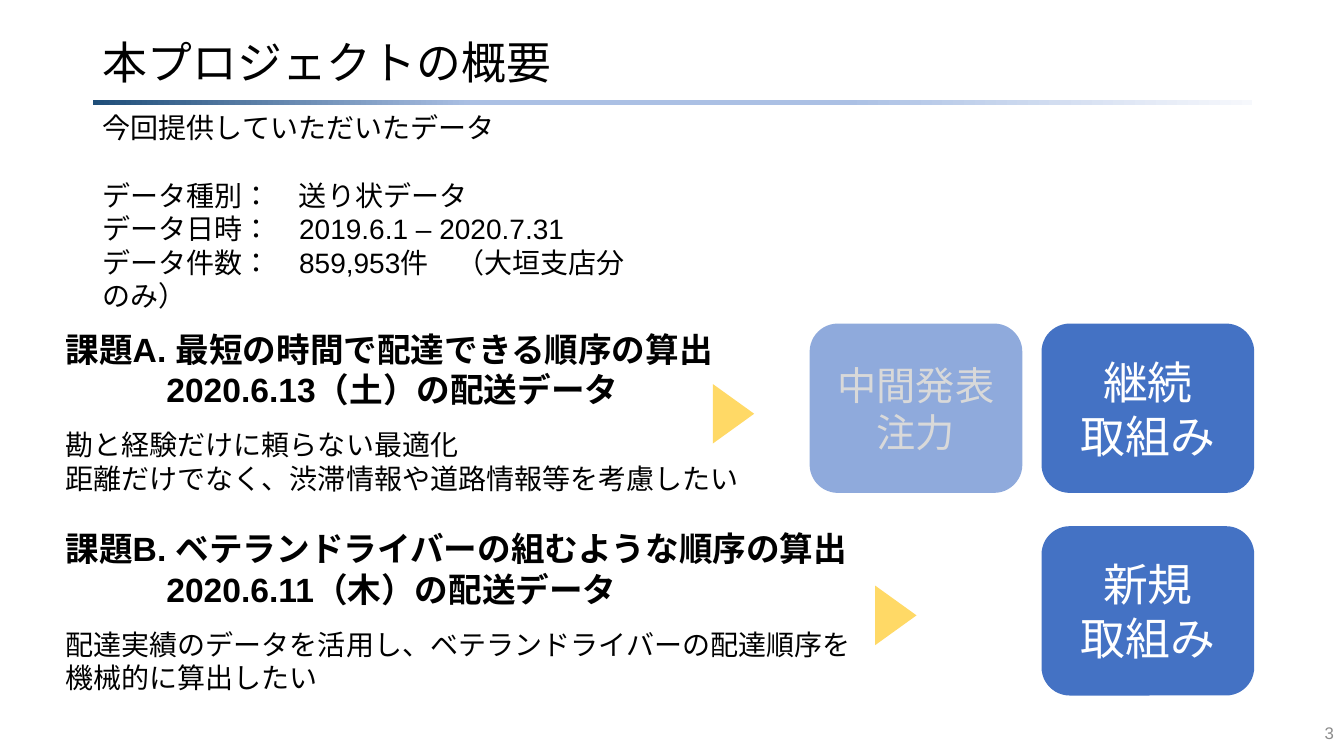
from lxml import etree
from pptx import Presentation
from pptx.dml.color import RGBColor
from pptx.enum.lang import MSO_LANGUAGE_ID
from pptx.enum.shapes import MSO_SHAPE
from pptx.enum.text import MSO_ANCHOR, MSO_AUTO_SIZE, PP_ALIGN
from pptx.oxml.ns import qn
from pptx.util import Inches, Pt

BAR, BOX, ARROW = MSO_SHAPE.RECTANGLE, MSO_SHAPE.ROUNDED_RECTANGLE, MSO_SHAPE.ISOSCELES_TRIANGLE
LEFT, MID, RIGHT = PP_ALIGN.LEFT, PP_ALIGN.CENTER, PP_ALIGN.RIGHT
COLORS = {"ink": "000000", "gray": "8C8C8C", "pale": "D9D9D9", "white": "FFFFFF",
          "blue": "4472C4", "light": "8FAADC", "gold": "FFD966",
          "navy": "1F4E79", "sky": "ABC0E4", "mist": "F6F8FC"}


def add_line(frame, text, size, color="ink", bold=False, align=LEFT, before=0, indent=0):
    """Write one paragraph, using the first one while it is still empty."""
    para = frame.paragraphs[0]
    if para.runs:
        para = frame.add_paragraph()
    props = para._p.get_or_add_pPr()
    props.set("marL", str(Inches(indent)))
    props.set("indent", "0")
    etree.SubElement(props, qn("a:buNone"))
    para.alignment = align
    para.space_before = Pt(before)
    run = para.add_run()
    run.text = text
    font = run.font
    font.name, font.size, font.bold = "Arial", Pt(size), bold
    font.color.rgb = RGBColor.from_string(COLORS[color])
    font.language_id = MSO_LANGUAGE_ID.JAPANESE
    return para


def add_form(kind, x, y, w, h, color):
    """Add a flat shape without an outline."""
    form = slide.shapes.add_shape(kind, Inches(x), Inches(y), Inches(w), Inches(h))
    form.shadow.inherit = False
    form.line.fill.background()
    form.fill.solid()
    form.fill.fore_color.rgb = RGBColor.from_string(COLORS[color])
    return form


prs = Presentation()
prs.slide_width, prs.slide_height = Inches(13.33), Inches(7.5)
slide = prs.slides.add_slide(prs.slide_layouts[1])

# Title
title = slide.shapes.title
title.left, title.top, title.width, title.height = [Inches(n) for n in (0.92, 0.33, 11.5, 0.62)]
title.text_frame.auto_size = MSO_AUTO_SIZE.NONE
title.text_frame.vertical_anchor = MSO_ANCHOR.MIDDLE
add_line(title.text_frame, "本プロジェクトの概要", 32).line_spacing = 0.9

# Fading rule under the title
rule = add_form(BAR, 0.92, 0.99, 11.5, 0.05, "navy")
rule.fill.gradient()
rule.fill.gradient_angle = 0
stops = rule._element.spPr.find(qn("a:gradFill")).find(qn("a:gsLst"))
for stop in list(stops):
    stops.remove(stop)
for pos, color in ((0, "navy"), (33, "sky"), (65, "sky"), (100, "mist")):
    stop = etree.SubElement(stops, qn("a:gs"), pos=str(pos * 1000))
    etree.SubElement(stop, qn("a:srgbClr"), val=COLORS[color])

# Tasks
body = slide.placeholders[1]
body.left, body.top, body.width, body.height = [Inches(n) for n in (0.55, 3.21, 9.14, 4.11)]
tasks = body.text_frame
tasks.auto_size = MSO_AUTO_SIZE.NONE
tasks.vertical_anchor = MSO_ANCHOR.TOP
for head, date, notes, gap in (
        ("課題A. 最短の時間で配達できる順序の算出", "2020.6.13（土）の配送データ",
         ("勘と経験だけに頼らない最適化",
          "距離だけでなく、渋滞情報や道路情報等を考慮したい"), 0),
        ("課題B. ベテランドライバーの組むような順序の算出", "2020.6.11（木）の配送データ",
         ("配達実績のデータを活用し、ベテランドライバーの配達順序を",
          "機械的に算出したい"), 24)):
    add_line(tasks, head, 24, bold=True, before=gap)
    add_line(tasks, date, 24, bold=True, indent=1)
    for note, space in zip(notes, (13, 0)):
        add_line(tasks, note, 20, before=space)

# Data provided
data = slide.shapes.add_textbox(Inches(0.92), Inches(1.05), Inches(5.57), Inches(1.78)).text_frame
data.word_wrap = True
for text, gap in (("今回提供していただいたデータ", 0),
                  ("データ種別：　送り状データ", 24),
                  ("データ日時：　2019.6.1 – 2020.7.31", 0),
                  ("データ件数：　859,953件　（大垣支店分のみ）", 0)):
    add_line(data, text, 20, before=gap)

# Status boxes
for x, y, fill, color, size, lines in (
        (8.03, 3.21, "light", "pale", 28, ["中間発表注力"]),
        (10.33, 5.22, "blue", "white", 32, ["新規", "取組み"]),
        (10.33, 3.21, "blue", "white", 32, ["継続", "取組み"])):
    frame = add_form(BOX, x, y, 2.11, 1.68, fill).text_frame
    frame.word_wrap = True
    frame.vertical_anchor = MSO_ANCHOR.MIDDLE
    for text in lines:
        add_line(frame, text, size, color, align=MID)

# Arrows from tasks to boxes
for x, y in ((6.98, 3.9), (8.59, 5.9)):
    add_form(ARROW, x, y, 0.59, 0.41, "gold").rotation = 90

# Slide number
page = slide.shapes.add_textbox(Inches(10.33), Inches(7.07), Inches(3), Inches(0.4)).text_frame
page.word_wrap = True
page.vertical_anchor = MSO_ANCHOR.MIDDLE
add_line(page, "3", 12, "gray", align=RIGHT)

prs.save("out.pptx")
